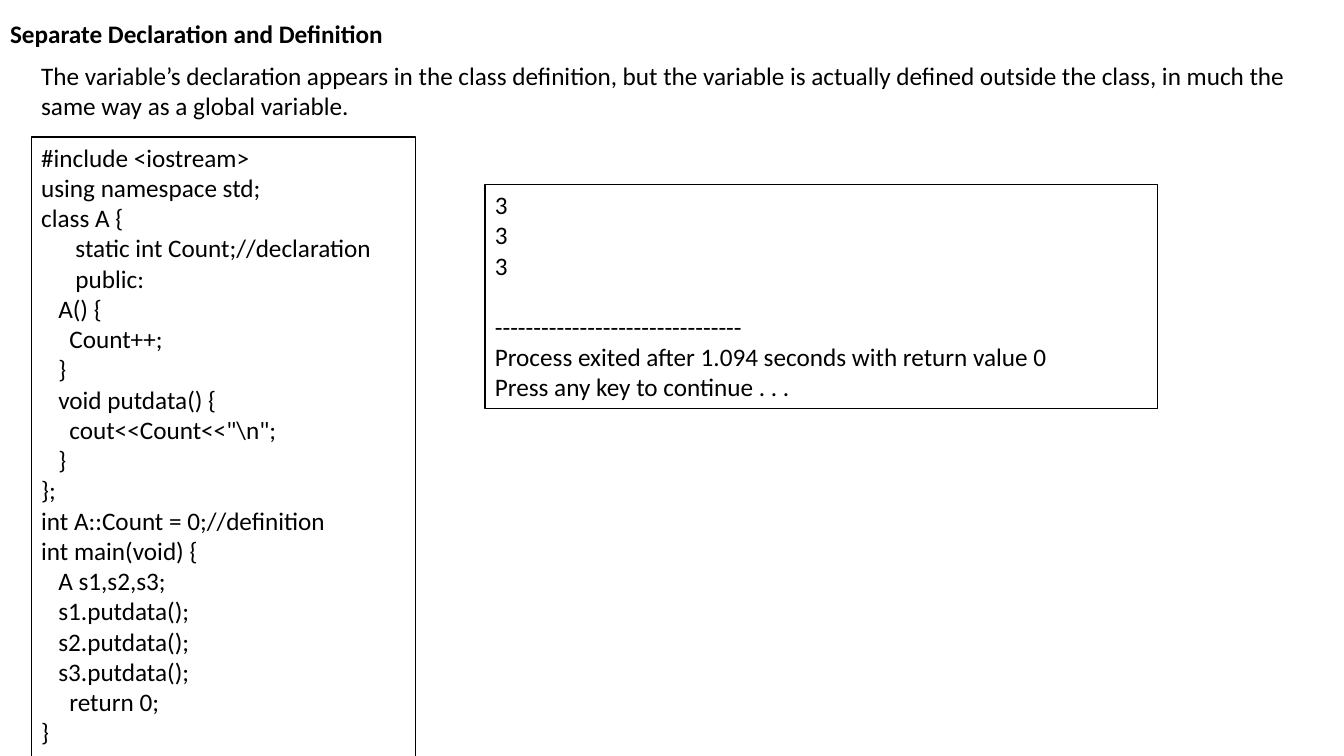
import pptx
import pptx.dml.color
import pptx.enum.shapes
import pptx.enum.text
import pptx.util
from dataclasses import dataclass
from pptx.util import Inches

BLACK = pptx.dml.color.RGBColor(0, 0, 0)
WHITE = pptx.dml.color.RGBColor(255, 255, 255)
FONT = "Calibri"
SIZE = pptx.util.Pt(18)
GAP = pptx.util.Pt(22)  # height of one text line


@dataclass
class Line:
    text: str
    indent: float = 0
    before: int = 0


@dataclass
class Panel:
    left: float
    top: float
    width: float
    height: float
    lines: list[Line]


CODE = Panel(0.31, 1.36, 3.81, 6.16, [
    Line("#include <iostream>"),
    Line("using namespace std;"),
    Line("class A {"),
    Line("static int Count;//declaration", 0.34),
    Line("public:", 0.34),
    Line("A() {", 0.17),
    Line("Count++;", 0.28),
    Line("}", 0.17),
    Line("void putdata() {", 0.17),
    Line('cout<<Count<<"\\n";', 0.28),
    Line("}", 0.17),
    Line("};"),
    Line("int A::Count = 0;//definition"),
    Line("int main(void) {"),
    Line("A s1,s2,s3;", 0.17),
    Line("s1.putdata();", 0.17),
    Line("s2.putdata();", 0.17),
    Line("s3.putdata();", 0.17),
    Line("return 0;", 0.28),
    Line("}"),
])
OUTPUT = Panel(4.81, 1.83, 6.67, 2.22, [
    Line("3"),
    Line("3"),
    Line("3"),
    Line("-" * 32, before=GAP),
    Line("Process exited after 1.094 seconds with return value 0"),
    Line("Press any key to continue . . ."),
])
INTRO = Panel(0.31, 0.55, 12.8, 0.71, [
    Line("The variable’s declaration appears in the class definition, "
         "but the variable is actually defined outside the class, "
         "in much the same way as a global variable."),
])
TITLE = Panel(0, 0.13, 3.93, 0.4, [Line("Separate Declaration and Definition")])


def place(panel: Panel) -> tuple[int, int, int, int]:
    return (Inches(panel.left), Inches(panel.top),
            Inches(panel.width), Inches(panel.height))


def write(shape, lines: list[Line], bold: bool = False, wrap: bool = True) -> None:
    frame = shape.text_frame
    frame.word_wrap = wrap
    frame.auto_size = pptx.enum.text.MSO_AUTO_SIZE.SHAPE_TO_FIT_TEXT
    frame.vertical_anchor = pptx.enum.text.MSO_ANCHOR.TOP
    frame.text = "\n".join(line.text for line in lines)
    for para, line in zip(frame.paragraphs, lines):
        para.alignment = pptx.enum.text.PP_ALIGN.LEFT
        para.space_before = line.before
        para.font.name = FONT
        para.font.size = SIZE
        para.font.bold = bold
        para.font.color.rgb = BLACK
        if line.indent:
            para._p.get_or_add_pPr().set("marL", str(Inches(line.indent)))


def add_box(slide, panel: Panel) -> None:
    box = slide.shapes.add_shape(
        pptx.enum.shapes.MSO_SHAPE.RECTANGLE, *place(panel))
    box.shadow.inherit = False
    box.fill.solid()
    box.fill.fore_color.rgb = WHITE
    box.line.color.rgb = BLACK
    box.line.width = pptx.util.Pt(1)
    write(box, panel.lines)


def main() -> None:
    deck = pptx.Presentation()
    deck.slide_width = Inches(13.33)
    deck.slide_height = Inches(7.5)
    slide = deck.slides.add_slide(deck.slide_layouts.get_by_name("Title Only"))

    # Title
    title = slide.shapes.title
    title.left, title.top, title.width, title.height = place(TITLE)
    write(title, TITLE.lines, bold=True, wrap=False)

    # Code and its output
    for panel in (CODE, OUTPUT):
        add_box(slide, panel)

    # Introduction
    write(slide.shapes.add_textbox(*place(INTRO)), INTRO.lines)

    deck.save("out.pptx")


if __name__ == "__main__":
    main()
